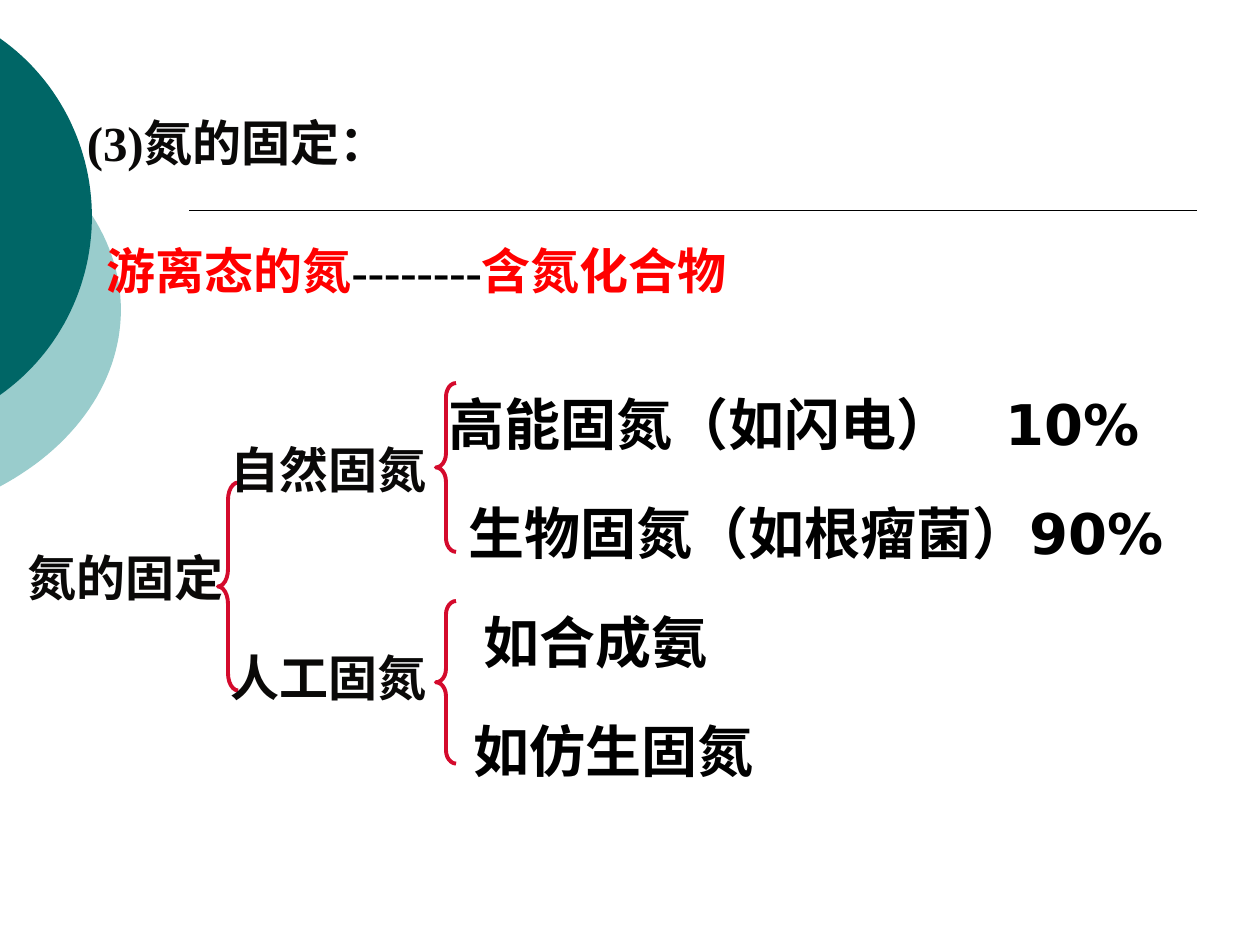
import math

from lxml import etree
from pptx import Presentation
from pptx.dml.color import RGBColor
from pptx.enum import shapes
from pptx.oxml.ns import qn
from pptx.util import Inches, Pt

INK, BLACK, RED, CRIMSON = "0A0908", "000000", "FF0000", "D40A2C"
SERIF, SANS = "Times New Roman", "DejaVu Sans"


def color(hex_code):
    return RGBColor.from_string(hex_code)


deck = Presentation()
deck.slide_width, deck.slide_height = Inches(10), Inches(7.5)
page = deck.slides.add_slide(deck.slide_layouts[6])

# Ellipses cut off by the left edge: centre, radii, fill
ellipses = [
    (-1.29, 2.46, 2.25, 1.71, "99CCCC"),
    (-0.96, 1.72, 1.69, 1.72, "006666"),
]
steps = 60
for center_x, center_y, radius_x, radius_y, fill in ellipses:
    limit = math.acos(-center_x / radius_x)
    angles = [limit * (2 * step / steps - 1) for step in range(steps + 1)]
    points = [(Inches(center_x + radius_x * math.cos(angle)),
               Inches(center_y + radius_y * math.sin(angle))) for angle in angles]
    builder = page.shapes.build_freeform(*points[0])
    builder.add_line_segments(points[1:], close=True)
    arc = builder.convert_to_shape()
    arc.shadow.inherit = False
    arc.fill.solid()
    arc.fill.fore_color.rgb = color(fill)
    arc.line.fill.background()

rule = page.shapes.add_connector(shapes.MSO_CONNECTOR.STRAIGHT,
                                 Inches(1.5), Inches(1.67), Inches(9.5), Inches(1.67))
rule.line.color.rgb = color(BLACK)
rule.line.width = Pt(1)
etree.SubElement(rule._element.spPr, qn("a:effectLst"))

# Left, top, height of each brace
brace_width = 0.16
for left, top, height in [(1.73, 3.83, 1.65), (3.46, 3.04, 1.34), (3.46, 4.77, 1.29)]:
    brace = page.shapes.add_shape(shapes.MSO_SHAPE.LEFT_BRACE, Inches(left), Inches(top),
                                  Inches(brace_width), Inches(height))
    brace.adjustments[0] = height / 12 / brace_width
    brace.shadow.inherit = False
    brace.fill.background()
    brace.line.color.rgb = color(CRIMSON)
    brace.line.width = Pt(2.25)

# Left, top, width, size, runs of (text, font, colour)
labels = [
    (0.59, 0.84, 4.02, 28, [("(3)氮的固定：", SERIF, INK)]),
    (0.75, 1.86, 8.98, 28, [("游离态的氮", SERIF, RED), ("--------", SERIF, BLACK),
                            ("含氮化合物", SERIF, RED)]),
    (0.12, 4.3, 2.28, 28, [("氮的固定", SERIF, INK)]),
    (1.73, 3.44, 2.28, 28, [("自然固氮", SERIF, INK)]),
    (1.73, 5.09, 2.68, 28, [("人工固氮", SERIF, INK)]),
    (3.46, 3.04, 6.65, 32, [("高能固氮（如闪电）\t10%", SANS, BLACK)]),
    (3.62, 3.91, 6.5, 32, [("生物固氮（如根瘤菌）", "Arial", BLACK), ("90%", SANS, BLACK)]),
    (3.74, 4.77, 6.65, 32, [("如合成氨", SANS, BLACK)]),
    (3.66, 5.64, 6.65, 32, [("如仿生固氮", SANS, BLACK)]),
]
for left, top, width, size, spans in labels:
    box = page.shapes.add_textbox(Inches(left), Inches(top), Inches(width),
                                  Inches(0.57 if size == 28 else 0.64))
    box.text_frame.word_wrap = True
    para = box.text_frame.paragraphs[0]
    if "\t" in spans[0][0]:
        tabs = etree.SubElement(para._p.get_or_add_pPr(), qn("a:tabLst"))
        etree.SubElement(tabs, qn("a:tab"), pos=str(Inches(4.42)), algn="l")
    para.font.size = Pt(size)
    para.font.bold = True
    for words, font, ink in spans:
        span = para.add_run()
        span.text = words
        span.font.name = font
        span.font.color.rgb = color(ink)

deck.save("out.pptx")
